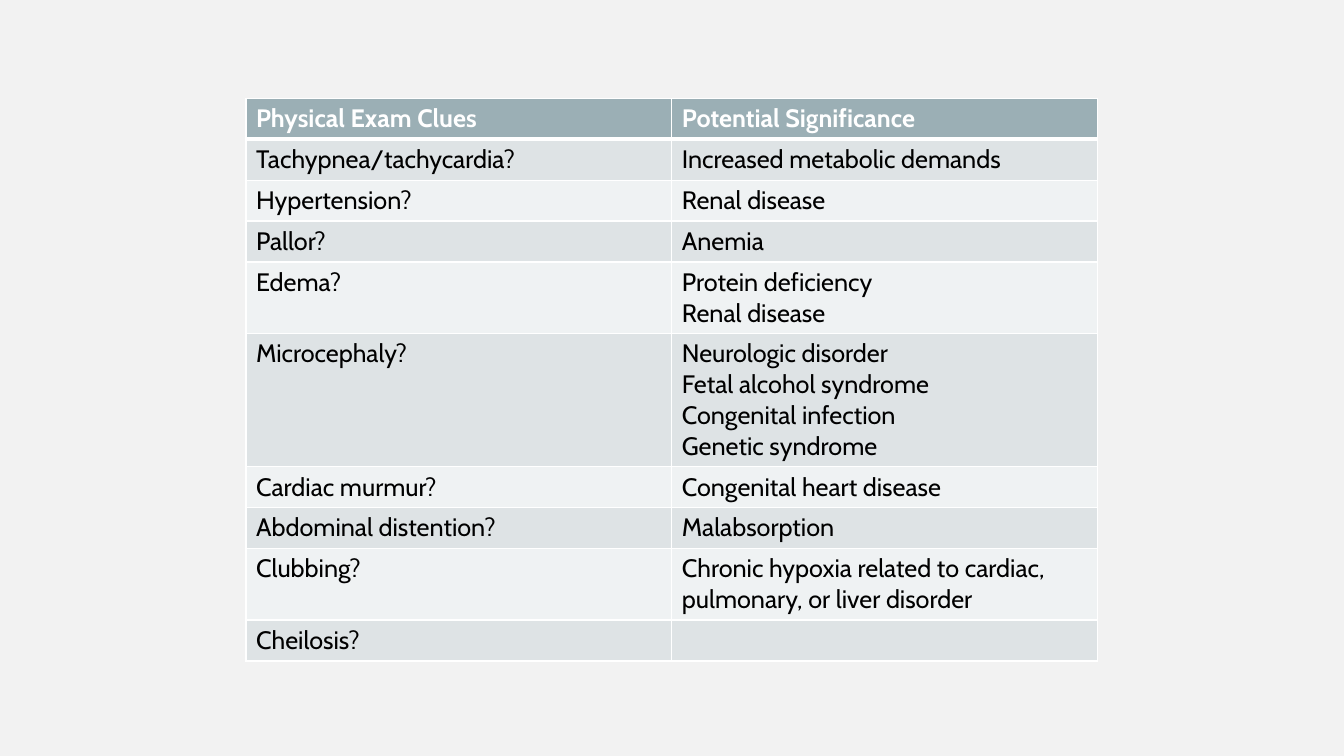
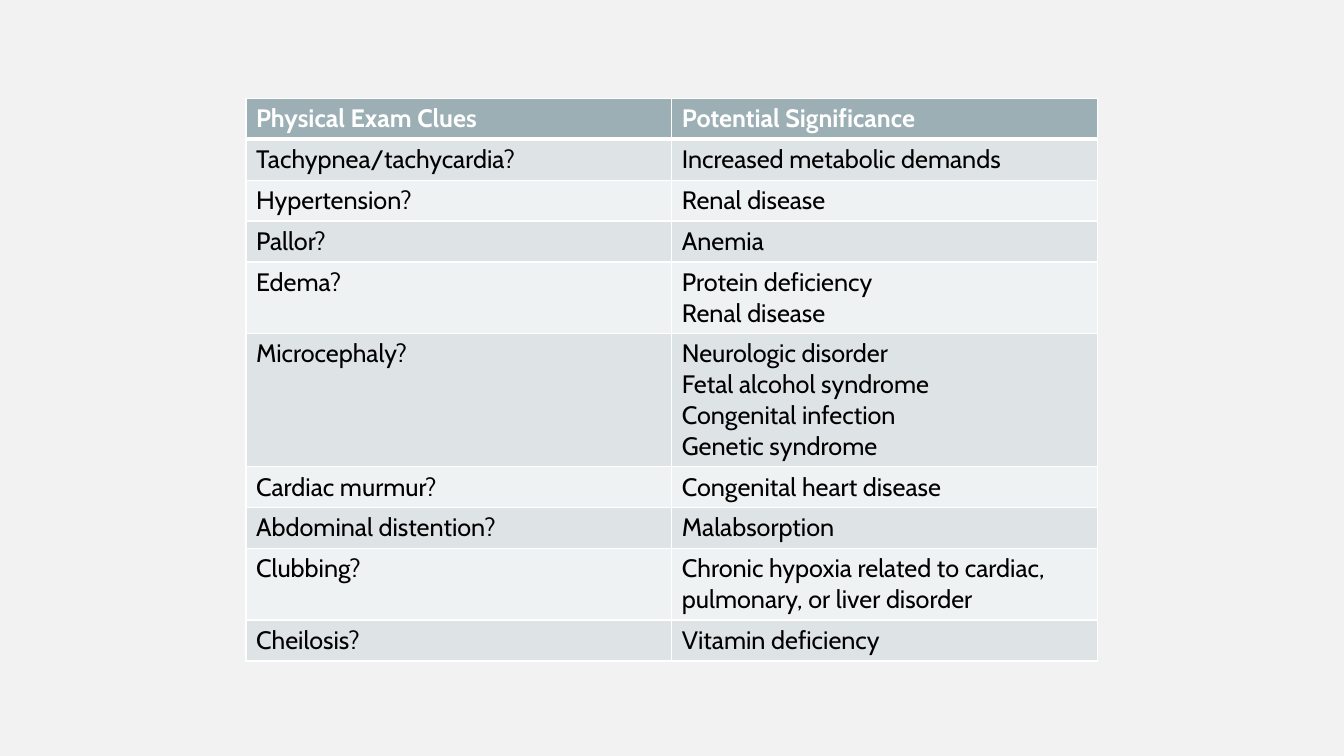
from dataclasses import dataclass

from lxml import etree
from pptx import Presentation
from pptx.dml.color import RGBColor
from pptx.oxml.ns import qn
from pptx.slide import Slide
from pptx.table import _Cell
from pptx.util import Cm, Pt

PAPER = RGBColor(0xF2, 0xF2, 0xF2)
HEAD = RGBColor(0x9B, 0xAF, 0xB5)
DARK = RGBColor(0xDE, 0xE3, 0xE5)
LIGHT = RGBColor(0xEF, 0xF2, 0xF3)
WHITE = RGBColor(0xFF, 0xFF, 0xFF)
BLACK = RGBColor(0x00, 0x00, 0x00)

FONT = "Cabin"
SIZE = Pt(18)
THIN, THICK = Pt(1), Pt(3)
LEFT, TOP = Cm(6.2), Cm(2.48)
COLUMN = Cm(10.73)
LINE, PAD = Cm(0.77), Cm(0.26)
BLANK = 6


@dataclass(frozen=True)
class Entry:
    clue: str
    signs: tuple[str, ...]
    lines: int = 1


HEADER = Entry("Physical Exam Clues", ("Potential Significance",))
CLUES = (
    Entry("Tachypnea/tachycardia?", ("Increased metabolic demands",)),
    Entry("Hypertension?", ("Renal disease",)),
    Entry("Pallor?", ("Anemia",)),
    Entry("Edema?", ("Protein deficiency", "Renal disease"), 2),
    Entry("Microcephaly?", ("Neurologic disorder", "Fetal alcohol syndrome",
                            "Congenital infection", "Genetic syndrome"), 4),
    Entry("Cardiac murmur?", ("Congenital heart disease",)),
    Entry("Abdominal distention?", ("Malabsorption",)),
    Entry("Clubbing?", ("Chronic hypoxia related to cardiac, "
                        "pulmonary, or liver disorder",), 2),
)
ENDINGS = (
    Entry("Cheilosis?", ()),
    Entry("Cheilosis?", ("Vitamin deficiency",)),
)


def add_rules(cell: _Cell, top: int, bottom: int) -> None:
    """Draw white borders on all four sides of the cell."""
    props = cell._tc.get_or_add_tcPr()
    sides = {"a:lnL": THIN, "a:lnR": THIN, "a:lnT": top, "a:lnB": bottom}
    for tag, width in sides.items():
        line = etree.SubElement(props, qn(tag), w=str(int(width)))
        fill = etree.SubElement(line, qn("a:solidFill"))
        etree.SubElement(fill, qn("a:srgbClr"), val=str(WHITE))


def fill_cell(cell: _Cell, texts: tuple[str, ...], row: int) -> None:
    header = row == 0
    add_rules(cell, THICK if row == 1 else THIN, THICK if header else THIN)
    cell.fill.solid()
    cell.fill.fore_color.rgb = HEAD if header else DARK if row % 2 else LIGHT
    frame = cell.text_frame
    for index, text in enumerate(texts):
        para = frame.add_paragraph() if index else frame.paragraphs[0]
        run = para.add_run()
        run.text = text
        run.font.name = FONT
        run.font.size = SIZE
        run.font.bold = header
        run.font.color.rgb = WHITE if header else BLACK


def add_clues(slide: Slide, entries: tuple[Entry, ...]) -> None:
    heights = [PAD + entry.lines * LINE for entry in entries]
    table = slide.shapes.add_table(len(entries), 2, LEFT, TOP,
                                   2 * COLUMN, sum(heights)).table
    table.horz_banding = False
    for row, (entry, height) in enumerate(zip(entries, heights)):
        table.rows[row].height = height
        fill_cell(table.cell(row, 0), (entry.clue,), row)
        fill_cell(table.cell(row, 1), entry.signs, row)


def main() -> None:
    deck = Presentation()
    deck.slide_width, deck.slide_height = Cm(33.87), Cm(19.05)
    paper = deck.slide_master.background.fill
    paper.solid()
    paper.fore_color.rgb = PAPER
    for ending in ENDINGS:
        slide = deck.slides.add_slide(deck.slide_layouts[BLANK])
        add_clues(slide, (HEADER, *CLUES, ending))
    deck.save("out.pptx")


if __name__ == "__main__":
    main()
